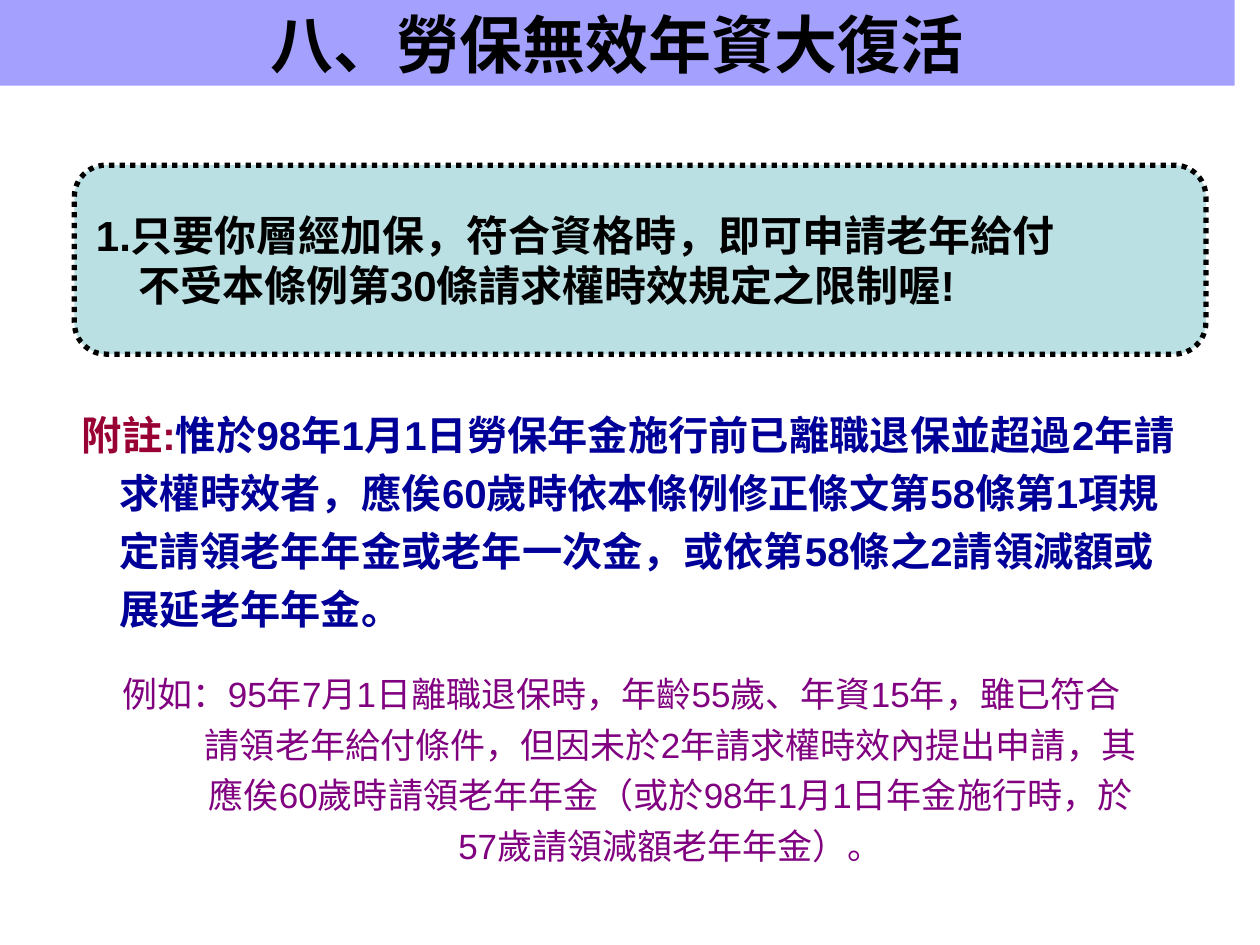
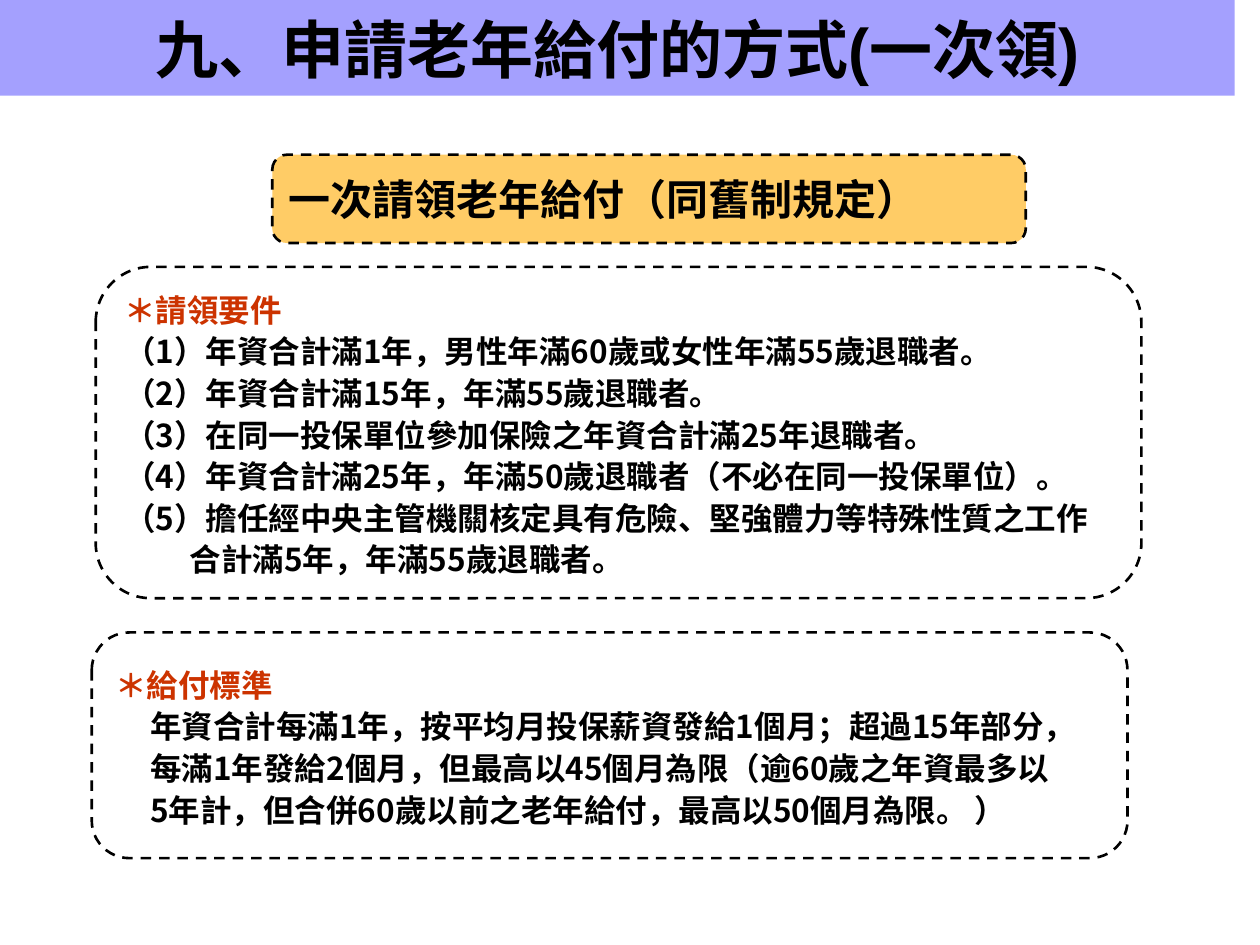
import pptx
import pptx.util
import pptx.dml.color
import pptx.enum.dml
import pptx.enum.shapes
import pptx.enum.text
import pptx.oxml.ns
from lxml import etree

Cm = pptx.util.Cm
Pt = pptx.util.Pt
RGBColor = pptx.dml.color.RGBColor
Kind = pptx.enum.shapes.MSO_SHAPE
Dash = pptx.enum.dml.MSO_LINE
Align = pptx.enum.text.PP_ALIGN

# Shared look
BLACK = RGBColor(0x00, 0x00, 0x00)
LILAC = RGBColor(0xA4, 0xA0, 0xFE)
TEAL = RGBColor(0xBB, 0xE0, 0xE3)
AMBER = RGBColor(0xFF, 0xCC, 0x66)
WINE = RGBColor(0x99, 0x00, 0x33)
NAVY = RGBColor(0x00, 0x00, 0x99)
PURPLE = RGBColor(0x80, 0x00, 0x80)
RUST = RGBColor(0xCC, 0x33, 0x00)
LATIN = "Arial"
HAN = "Noto Sans CJK TC"
WIDE = 25.4
BAND = 24.89


def set_font(font, size, color, bold, face):
    font.size = Pt(size)
    font.bold = bold
    if color is not None:
        font.color.rgb = color
    font.name = face
    east = etree.SubElement(font._element, pptx.oxml.ns.qn("a:ea"))
    east.set("typeface", HAN)


def add_para(frame, runs, size, color=BLACK, bold=True, face=LATIN,
             align=Align.LEFT, left=0, hang=0, space=1.0):
    """Write one paragraph; runs is a string or a list of (text, color)."""
    first = frame.paragraphs[0]
    para = first if not first.runs else frame.add_paragraph()
    para.alignment = align
    para.line_spacing = space
    props = para._p.get_or_add_pPr()
    props.set("marL", str(Cm(left)))
    props.set("indent", str(-Cm(hang)))
    if isinstance(runs, str):
        para.add_run().text = runs
        set_font(para.font, size, color, bold, face)
        return
    set_font(para.font, size, None, bold, face)
    for text, tint in runs:
        run = para.add_run()
        run.text = text
        run.font.color.rgb = tint


def set_frame(shape, wrap=True):
    frame = shape.text_frame
    frame.word_wrap = wrap
    frame.vertical_anchor = pptx.enum.text.MSO_ANCHOR.MIDDLE
    return frame


def add_box(slide, kind, area, fill=None, weight=0, dash=Dash.DASH, wrap=True):
    """Draw a filled or framed shape and return its text frame."""
    box = slide.shapes.add_shape(kind, *map(Cm, area))
    box.shadow.inherit = False
    if fill is None:
        box.fill.background()
    else:
        box.fill.solid()
        box.fill.fore_color.rgb = fill
    if weight:
        box.line.color.rgb = BLACK
        box.line.width = Pt(weight)
        box.line.dash_style = dash
    else:
        box.line.fill.background()
    return set_frame(box, wrap)


def add_text(slide, area):
    return set_frame(slide.shapes.add_textbox(*map(Cm, area)))


def add_title(slide, text, height):
    frame = add_box(slide, Kind.RECTANGLE, (0, 0, BAND, height), LILAC)
    add_para(frame, text, 36, align=Align.CENTER)


def add_panel(slide, area, head, lines):
    """Dashed panel: red heading, then (text, left, hang) lines."""
    frame = add_box(slide, Kind.ROUNDED_RECTANGLE, area, weight=1.5, wrap=False)
    add_para(frame, head, 18, RUST, face=HAN, space=1.1)
    for text, left, hang in lines:
        add_para(frame, text, 18, face=HAN, left=left, hang=hang, space=1.1)


def build_revival(slide):
    # Note and example
    note = add_text(slide, (1.4, 7.72, 22.73, 5.38))
    add_para(note, [
        ("附註:", WINE),
        ("惟於98年1月1日勞保年金施行前已離職退保並超過2年請求權時效者，"
         "應俟60歲時依本條例修正條文第58條第1項規定請領老年年金或老年一次金，"
         "或依第58條之2請領減額或展延老年年金。", NAVY),
    ], 23, left=0.76, hang=0.76, space=1.2)
    case = add_text(slide, (1.9, 13.13, 21.26, 4.6))
    add_para(case,
             "例如：95年7月1日離職退保時，年齡55歲、年資15年，"
             "雖已符合請領老年給付條件，但因未於2年請求權時效內提出申請，"
             "其應俟60歲時請領老年年金（或於98年1月1日年金施行時，"
             "於57歲請領減額老年年金）。",
             20, PURPLE, bold=False, align=Align.CENTER,
             left=1.98, hang=1.98, space=1.2)

    add_title(slide, "八、勞保無效年資大復活", 1.73)

    # Main rule
    rule = add_box(slide, Kind.FLOWCHART_ALTERNATE_PROCESS,
                   (1.5, 3.33, 22.81, 3.81), TEAL, 3, Dash.ROUND_DOT, False)
    add_para(rule, "1.只要你層經加保，符合資格時，即可申請老年給付", 24)
    add_para(rule, "不受本條例第30條請求權時效規定之限制喔!", 24, left=0.85)


def build_lump(slide):
    # Payment standard
    pay = ["年資合計每滿1年，按平均月投保薪資發給1個月；超過15年部分，",
           "每滿1年發給2個月，但最高以45個月為限（逾60歲之年資最多以",
           "5年計，但合併60歲以前之老年給付，最高以50個月為限。 ）"]
    add_panel(slide, (1.85, 12.75, 20.88, 4.55), "＊給付標準",
              [(text, 0.71, 0) for text in pay])

    # Conditions
    terms = ["年資合計滿1年，男性年滿60歲或女性年滿55歲退職者。",
             "年資合計滿15年，年滿55歲退職者。",
             "在同一投保單位參加保險之年資合計滿25年退職者。",
             "年資合計滿25年，年滿50歲退職者（不必在同一投保單位）。",
             "擔任經中央主管機關核定具有危險、堅強體力等特殊性質之工作"]
    lines = [(f"（{n}）{text}", 1.47, 1.47) for n, text in enumerate(terms, 1)]
    lines.append(("合計滿5年，年滿55歲退職者。", 1.32, 0))
    add_panel(slide, (1.93, 5.38, 21.08, 6.68), "＊請領要件", lines)

    # Label
    label = add_box(slide, Kind.ROUNDED_RECTANGLE,
                    (5.49, 3.12, 15.19, 1.78), AMBER, 1.5)
    add_para(label, "一次請領老年給付（同舊制規定）", 24, face=HAN)

    add_title(slide, "九、申請老年給付的方式(一次領)", 1.93)


def main():
    deck = pptx.Presentation()
    deck.slide_width = Cm(WIDE)
    deck.slide_height = Cm(19.05)
    for build in (build_revival, build_lump):
        build(deck.slides.add_slide(deck.slide_layouts[6]))
    deck.save("out.pptx")


if __name__ == "__main__":
    main()
